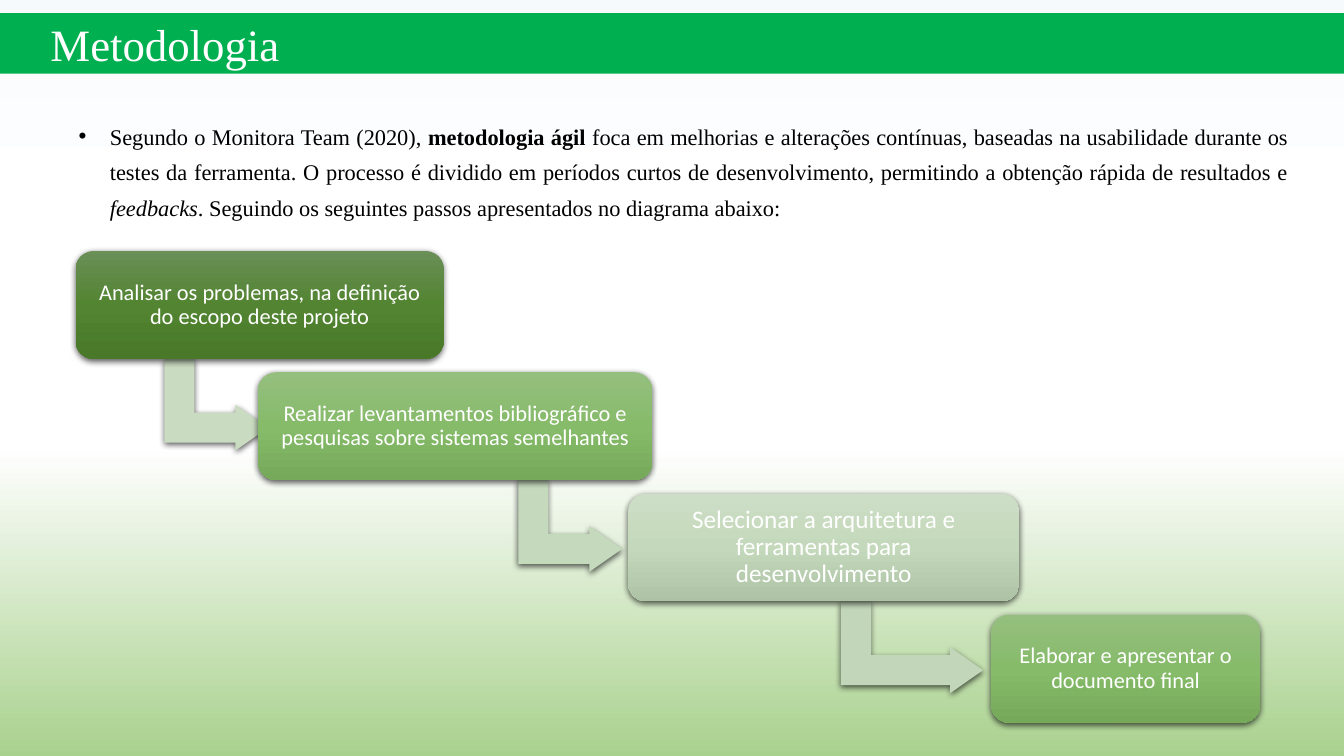
import pptx
import pptx.util
from lxml import etree
from pptx.dml.color import RGBColor
from pptx.enum.shapes import MSO_SHAPE
from pptx.enum.text import MSO_ANCHOR, MSO_AUTO_SIZE, PP_ALIGN
from pptx.oxml.ns import qn
from pptx.util import Inches, Pt

WHITE = RGBColor(0xFF, 0xFF, 0xFF)
BLACK = RGBColor(0x00, 0x00, 0x00)
TITLE_GREEN = RGBColor(0x00, 0xB0, 0x50)
SKY = RGBColor(0xF7, 0xFA, 0xFD)
MEADOW = RGBColor(0xA9, 0xD1, 0x8E)
ARROW_1 = RGBColor(0xC9, 0xDB, 0xC1)
ARROW_2 = RGBColor(0xC5, 0xD9, 0xBD)
ARROW_3 = RGBColor(0xC2, 0xD7, 0xB9)

BACKGROUND = [(0, SKY), (26, WHITE), (59, WHITE), (100, MEADOW)]
DARK = [(0, RGBColor(0x6A, 0x8F, 0x57)), (50, RGBColor(0x52, 0x84, 0x31)),
        (100, RGBColor(0x48, 0x78, 0x28))]
MEDIUM = [(0, RGBColor(0x95, 0xBF, 0x7F)), (50, RGBColor(0x86, 0xBB, 0x6A)),
          (100, RGBColor(0x76, 0xAA, 0x5A))]
PALE = [(0, RGBColor(0xCD, 0xDE, 0xC6)), (50, RGBColor(0xC4, 0xD9, 0xBB)),
        (100, RGBColor(0xAE, 0xC3, 0xA5))]

SERIF = "Times New Roman"
SANS = "Calibri"

INTRO = [
    ("Segundo o Monitora Team (2020), ", {}),
    ("metodologia ágil", {"bold": True}),
    (" foca em melhorias e alterações contínuas, baseadas na usabilidade durante os "
     "testes da ferramenta. O processo é dividido em períodos curtos de desenvolvimento, "
     "permitindo a obtenção rápida de resultados e ", {}),
    ("feedbacks", {"italic": True}),
    (". Seguindo os seguintes passos apresentados no diagrama abaixo:", {}),
]

# text, left offset, width, text size, gradient, arrow (left offset, length, colour)
STEPS = [
    ("Analisar os problemas, na definição do escopo deste projeto",
     0, 3.65, 16, DARK, (0.88, 1.03, ARROW_1)),
    ("Realizar levantamentos bibliográfico e pesquisas sobre sistemas semelhantes",
     1.81, 3.91, 16, MEDIUM, (4.39, 1.03, ARROW_2)),
    ("Selecionar a arquitetura e ferramentas para desenvolvimento",
     5.48, 3.88, 18, PALE, (7.59, 1.41, ARROW_3)),
    ("Elaborar e apresentar o documento final", 9.08, 2.67, 16, MEDIUM, None),
]
STEP_HEIGHT = 1.07
ARROW_HEIGHT = 0.91


def set_values(target, values):
    for name, value in values.items():
        setattr(target, name, value)


def set_font(font, size, name, color, **values):
    set_values(font, {"size": Pt(size), "name": name, **values})
    font.color.rgb = color


def place(shape, left, top, width, height):
    set_values(shape, {"left": Inches(left), "top": Inches(top),
                       "width": Inches(width), "height": Inches(height)})


def fill_gradient(fill, element, stops):
    """Give the fill inside element a top-to-bottom gradient of (percent, colour) stops."""
    fill.gradient()
    fill.gradient_angle = 270
    stop_list = element.find(".//" + qn("a:gsLst"))
    for stop in list(stop_list):
        stop_list.remove(stop)
    for percent, color in stops:
        stop = etree.SubElement(stop_list, qn("a:gs"), pos=str(percent * 1000))
        etree.SubElement(stop, qn("a:srgbClr"), val=str(color))


def add_shadow(shape):
    shape.shadow.inherit = False
    effects = shape.element.spPr.find(qn("a:effectLst"))
    shadow = etree.SubElement(effects, qn("a:outerShdw"), blurRad=str(Pt(4.5)),
                              dist=str(Pt(1.5)), dir="5400000", algn="ctr", rotWithShape="0")
    color = etree.SubElement(shadow, qn("a:srgbClr"), val=str(BLACK))
    etree.SubElement(color, qn("a:alpha"), val="63000")


def fill_title(title, left, top, width, height):
    place(title, left, top, width, height)
    title.fill.solid()
    title.fill.fore_color.rgb = TITLE_GREEN
    frame = title.text_frame
    set_values(frame, {"margin_left": Inches(0.5), "margin_right": 0, "margin_top": 0,
                       "margin_bottom": 0, "vertical_anchor": MSO_ANCHOR.MIDDLE,
                       "auto_size": MSO_AUTO_SIZE.NONE})
    frame.text = "Metodologia"
    para = frame.paragraphs[0]
    para.alignment = PP_ALIGN.LEFT
    set_font(para.font, 32, SERIF, WHITE)


def fill_intro(body, left, top, width, height):
    place(body, left, top, width, height)
    set_values(body.text_frame, {"auto_size": MSO_AUTO_SIZE.NONE, "word_wrap": True,
                                 "vertical_anchor": MSO_ANCHOR.TOP})
    para = body.text_frame.paragraphs[0]
    properties = para._p.get_or_add_pPr()
    properties.set("marL", str(Inches(0.81)))
    properties.set("indent", str(Inches(-0.31)))
    etree.SubElement(properties, qn("a:buFont"), typeface="Arial")
    etree.SubElement(properties, qn("a:buChar"), char="•")
    set_values(para, {"alignment": PP_ALIGN.JUSTIFY, "line_spacing": Pt(25.5),
                      "space_before": Pt(0), "space_after": Pt(0)})
    for text, emphasis in INTRO:
        span = para.add_run()
        span.text = text
        set_font(span.font, 16, SERIF, BLACK, **emphasis)


def add_arrow(slide, left, top, length, color):
    """Draw an arrow that goes down and then right, from its visible top left corner."""
    arrow = slide.shapes.add_shape(
        MSO_SHAPE.BENT_UP_ARROW,
        Inches(left + (length - ARROW_HEIGHT) / 2), Inches(top + (ARROW_HEIGHT - length) / 2),
        Inches(ARROW_HEIGHT), Inches(length))
    arrow.rotation = 90
    for index, value in enumerate((0.328, 0.25, 0.358)):
        arrow.adjustments[index] = value
    arrow.fill.solid()
    arrow.fill.fore_color.rgb = color
    arrow.line.fill.background()
    add_shadow(arrow)


def add_step(slide, left, top, width, text, size, gradient):
    box = slide.shapes.add_shape(MSO_SHAPE.ROUNDED_RECTANGLE, Inches(left), Inches(top),
                                 Inches(width), Inches(STEP_HEIGHT))
    fill_gradient(box.fill, box.element, gradient)
    box.line.fill.background()
    add_shadow(box)
    frame = box.text_frame
    margins = dict.fromkeys(("margin_left", "margin_right", "margin_top", "margin_bottom"),
                            Inches(0.12))
    set_values(frame, {**margins, "word_wrap": True, "vertical_anchor": MSO_ANCHOR.MIDDLE})
    frame.text = text
    para = frame.paragraphs[0]
    set_values(para, {"alignment": PP_ALIGN.CENTER, "line_spacing": 0.9})
    set_font(para.font, size, SANS, WHITE)


def add_staircase(slide, left, top, height):
    pitch = (height - STEP_HEIGHT) / (len(STEPS) - 1)
    for index, (text, offset, width, size, gradient, arrow) in enumerate(STEPS):
        step_top = top + index * pitch
        if arrow:
            arrow_offset, length, color = arrow
            add_arrow(slide, left + arrow_offset, step_top + STEP_HEIGHT, length, color)
        add_step(slide, left + offset, step_top, width, text, size, gradient)


def main():
    deck = pptx.Presentation()
    set_values(deck, {"slide_width": Inches(13.33), "slide_height": Inches(7.5)})
    page = deck.slides.add_slide(deck.slide_layouts[1])
    fill_gradient(page.background.fill, page.element, BACKGROUND)
    fill_title(page.shapes.title, 0, 0.13, 13.33, 0.6)
    fill_intro(page.placeholders[1], 0.18, 1.08, 12.7, 1.21)
    add_staircase(page, 0.75, 2.49, 4.68)
    deck.save("out.pptx")


if __name__ == "__main__":
    main()
